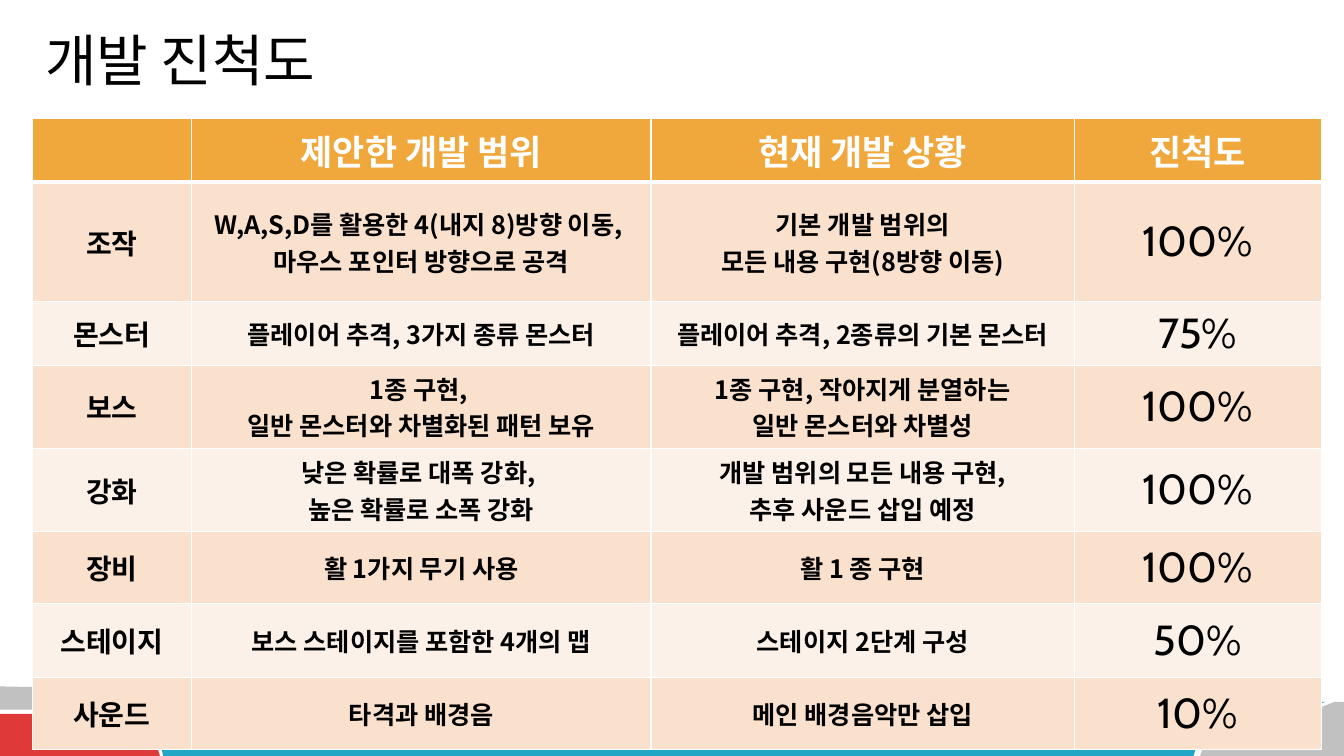
from pptx import Presentation
from pptx.dml.color import RGBColor as Rgb
from pptx.enum.text import MSO_ANCHOR as Anchor, MSO_AUTO_SIZE as AutoSize, PP_ALIGN as Align
from pptx.oxml.ns import qn
from pptx.util import Inches, Pt
from lxml.etree import SubElement, Element

COLORS = {
    "orange": "F0A73C", "peach": "F9E1CE", "cream": "FCF1E8", "white": "FFFFFF",
    "black": "000000", "grey": "C1C1C1", "mist": "DADADA", "red": "DF3939", "teal": "21A6C5",
}
LATIN, KOREAN = "Cabin", "Noto Sans CJK KR"

FORMATS = {
    "title": {"size": Pt(40), "name": LATIN, "bold": False, "color": "black"},
    "header": {"size": Pt(25), "name": LATIN, "bold": True, "color": "white"},
    "feature": {"size": Pt(20), "name": KOREAN, "bold": True, "color": "black"},
    "scope": {"size": Pt(18), "name": KOREAN, "bold": True, "color": "black"},
    "progress": {"size": Pt(30), "name": LATIN, "bold": False, "color": "black"},
}
COLUMN_FORMATS = ["feature", "scope", "scope", "progress"]
COLUMN_SHARES = [1.58, 4.56, 4.2, 2.45]
ROW_SHARES = [0.63, 1.18, 0.63, 0.82, 0.82, 0.72, 0.73, 0.72]

PROGRESS = [
    ["", "제안한 개발 범위", "현재 개발 상황", "진척도"],
    ["조작", "W,A,S,D를 활용한 4(내지 8)방향 이동, \n마우스 포인터 방향으로 공격",
     "기본 개발 범위의\n모든 내용 구현(8방향 이동)", "100%"],
    ["몬스터", "플레이어 추격, 3가지 종류 몬스터", "플레이어 추격, 2종류의 기본 몬스터", "75%"],
    ["보스", "1종 구현, \n일반 몬스터와 차별화된 패턴 보유",
     "1종 구현, 작아지게 분열하는\n일반 몬스터와 차별성", "100%"],
    ["강화", "낮은 확률로 대폭 강화, \n높은 확률로 소폭 강화",
     "개발 범위의 모든 내용 구현,\n추후 사운드 삽입 예정", "100%"],
    ["장비", "활 1가지 무기 사용", "활 1 종 구현", "100%"],
    ["스테이지", "보스 스테이지를 포함한 4개의 맵", "스테이지 2단계 구성", "50%"],
    ["사운드", "타격과 배경음", "메인 배경음악만 삽입", "10%"],
]

RIBBONS = [
    ("grey", [(0, 1), (13.4, 6), (14.9, 24), (5.7, 24), (5.55, 34), (0, 34)]),
    ("red", [(0, 40), (5.5, 40), (5.1, 56), (11.25, 56), (11.9, 100), (0, 100)]),
    ("mist", [(6, 27), (55.1, 29), (54.4, 47), (5.5, 51)]),
    ("teal", [(11.55, 57), (89.65, 51), (88.8, 100), (12.15, 100)]),
    ("orange", [(55.8, 17), (67.3, 21), (67.6, 47), (54.8, 49)]),
    ("red", [(67.4, 21), (94.4, 23), (91.5, 44), (68, 47)]),
    ("teal", [(95, 23), (98.6, 23), (95.4, 46), (92, 46)]),
    ("grey", [(90.1, 50), (95.6, 51), (99.3, 23), (100, 23), (100, 100), (89.3, 100)]),
]


def rgb(color):
    return Rgb.from_string(COLORS[color])


def paint(fill, color):
    fill.solid()
    fill.fore_color.rgb = rgb(color)


def write(frame, text, style):
    frame.text = text
    for paragraph in frame.paragraphs:
        paragraph.alignment = Align.CENTER
        for run in paragraph.runs:
            for key, value in FORMATS[style].items():
                if key == "color":
                    run.font.color.rgb = rgb(value)
                else:
                    setattr(run.font, key, value)
            run.font.language_id = None
            SubElement(run._r.get_or_add_rPr(), qn("a:ea"), typeface=KOREAN)


def add_borders(cell, widths):
    properties = cell._tc.get_or_add_tcPr()
    for place, (side, width) in enumerate(widths.items()):
        edge = Element(qn(f"a:ln{side}"), w=str(Pt(width)))
        edge_fill = SubElement(edge, qn("a:solidFill"))
        SubElement(edge_fill, qn("a:srgbClr"), val=COLORS["white"])
        properties.insert(place, edge)


def add_footer(slide, box):
    left, top, width, height = box
    for color, outline in RIBBONS:
        points = [(round(left + x * width / 100), round(top + y * height / 100)) for x, y in outline]
        builder = slide.shapes.build_freeform(*points[0])
        builder.add_line_segments(points[1:], close=True)
        ribbon = builder.convert_to_shape()
        ribbon.shadow.inherit = False
        ribbon.line.fill.background()
        paint(ribbon.fill, color)


def add_title(slide, box):
    title = slide.shapes.title
    for key, value in zip(("left", "top", "width", "height"), box):
        setattr(title, key, value)
    frame = title.text_frame
    layout = {"word_wrap": False, "auto_size": AutoSize.NONE, "vertical_anchor": Anchor.MIDDLE}
    for key, value in layout.items():
        setattr(frame, key, value)
    write(frame, "개발 진척도", "title")


def add_progress_table(slide, box):
    left, top, width, height = box
    table = slide.shapes.add_table(len(PROGRESS), len(COLUMN_SHARES), *box).table
    for column, share in zip(table.columns, COLUMN_SHARES):
        column.width = round(width * share / sum(COLUMN_SHARES))
    for row, share in zip(table.rows, ROW_SHARES):
        row.height = round(height * share / sum(ROW_SHARES))
    for r, entries in enumerate(PROGRESS):
        band = "orange" if r == 0 else ("cream", "peach")[r % 2]
        for c, entry in enumerate(entries):
            cell = table.cell(r, c)
            cell.vertical_anchor = Anchor.MIDDLE
            paint(cell.fill, band)
            add_borders(cell, {"L": 1, "R": 1, "T": 3 if r == 1 else 1, "B": 3 if r == 0 else 1})
            write(cell.text_frame, entry, COLUMN_FORMATS[c] if r else "header")


def build_progress_slide(deck):
    slide = deck.slides.add_slide(deck.slide_layouts[5])
    paint(slide.background.fill, "white")

    def area(x, y, w, h):
        return [round(share * side) for share, side in
                zip((x, y, w, h), (deck.slide_width, deck.slide_height) * 2)]

    add_footer(slide, area(0, 0.907, 1, 0.093))
    add_progress_table(slide, area(0.024, 0.157, 0.959, 0.833))
    add_title(slide, area(0.0165, 0.027, 0.235, 0.103))


deck = Presentation()
deck.slide_width, deck.slide_height = Inches(13.33), Inches(7.5)
build_progress_slide(deck)
deck.save("out.pptx")
